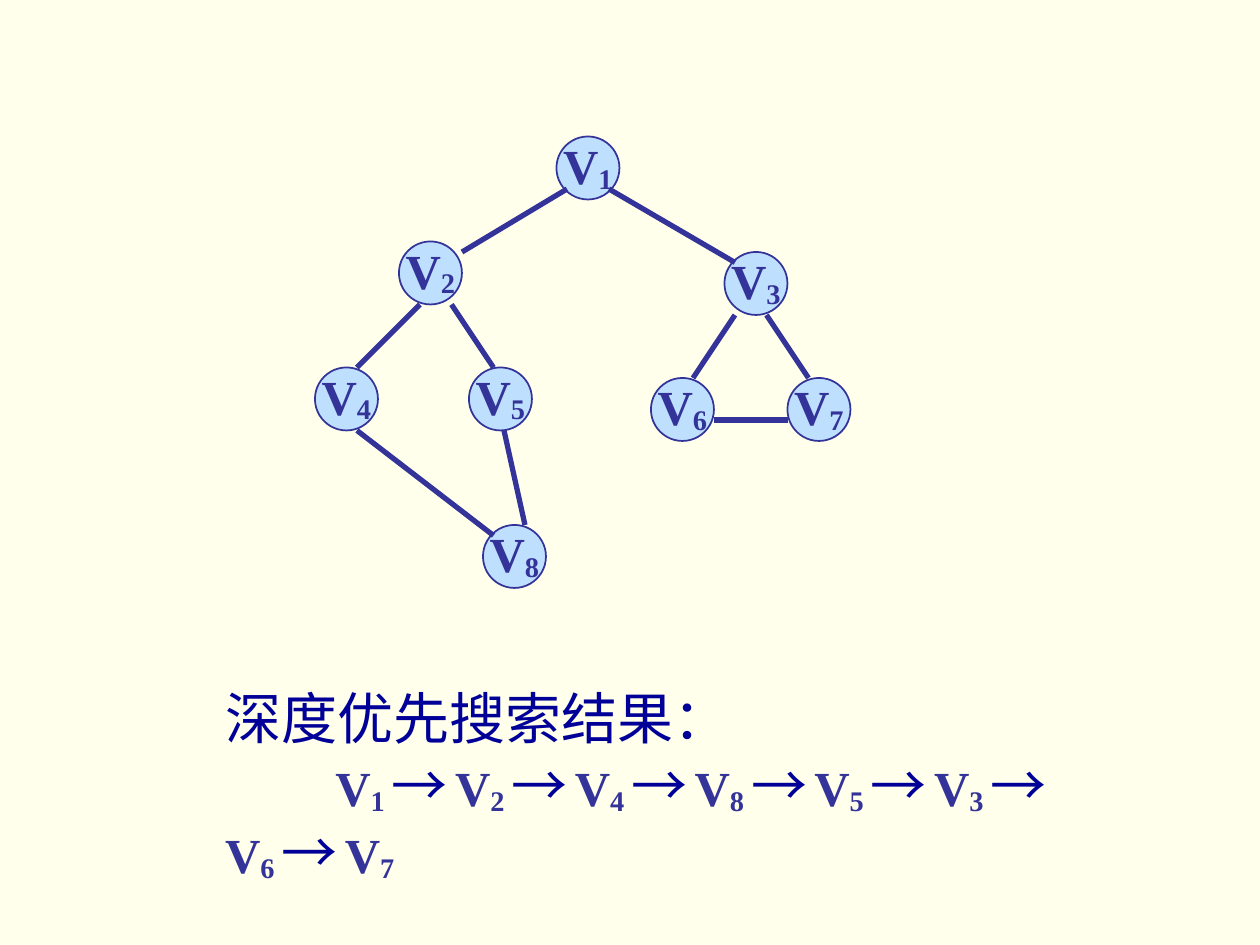
"""Draw a graph and the order of its depth-first search."""
from dataclasses import dataclass

import pptx
import pptx.dml.color
import pptx.enum.shapes
import pptx.enum.text
import pptx.oxml.ns
import pptx.slide
import pptx.text.text
import pptx.util
from lxml import etree

Pt = pptx.util.Pt
RGB = pptx.dml.color.RGBColor
PAPER = RGB(0xFF, 0xFF, 0xEB)
FILL = RGB(0xBE, 0xE0, 0xFE)
INK = RGB(0x33, 0x33, 0x99)
NAVY = RGB(0x00, 0x00, 0x99)
LATIN = "Times New Roman"
HAN = "Noto Sans CJK SC"
SIZE = 36


@dataclass
class Node:
    label: str
    left: float
    top: float


@dataclass
class Edge:
    x1: float
    y1: float
    x2: float
    y2: float


NODES = [
    Node("1", 318, 78),
    Node("2", 228, 138),
    Node("3", 414, 144),
    Node("4", 180, 210),
    Node("5", 268, 210),
    Node("6", 372, 216),
    Node("7", 450, 216),
    Node("8", 276, 300),
]
EDGES = [
    Edge(324, 108, 264, 144),
    Edge(348, 108, 420, 150),
    Edge(240, 174, 204, 210),
    Edge(258, 174, 282, 210),
    Edge(204, 246, 282, 306),
    Edge(288, 246, 300, 300),
    Edge(420, 180, 396, 216),
    Edge(438, 180, 462, 216),
    Edge(408, 240, 450, 240),
]
ORDER = "12485367"


def add_run(para: pptx.text.text._Paragraph, text: str, sub: bool = False) -> None:
    run = para.add_run()
    run.text = text
    run.font.size = Pt(28)
    run.font.bold = True
    run.font.name = LATIN
    run.font.color.rgb = INK
    if sub:
        run.font._element.set("baseline", "-10000")


def add_han(para: pptx.text.text._Paragraph, text: str) -> None:
    run = para.add_run()
    run.text = text
    run.font.size = Pt(32)
    run.font.bold = False
    run.font.name = HAN
    run.font.color.rgb = NAVY
    east = etree.SubElement(run.font._element, pptx.oxml.ns.qn("a:ea"))
    east.set("typeface", HAN)


def add_node(slide: pptx.slide.Slide, node: Node) -> None:
    shape = slide.shapes.add_shape(
        pptx.enum.shapes.MSO_SHAPE.OVAL,
        Pt(node.left), Pt(node.top), Pt(SIZE), Pt(SIZE),
    )
    shape.shadow.inherit = False
    shape.fill.solid()
    shape.fill.fore_color.rgb = FILL
    shape.line.color.rgb = INK
    shape.line.width = Pt(1)
    frame = shape.text_frame
    frame.word_wrap = False
    frame.margin_top = 0
    frame.vertical_anchor = pptx.enum.text.MSO_ANCHOR.MIDDLE
    para = frame.paragraphs[0]
    para.alignment = pptx.enum.text.PP_ALIGN.CENTER
    add_run(para, "V")
    add_run(para, node.label, sub=True)


def add_edge(slide: pptx.slide.Slide, edge: Edge) -> None:
    line = slide.shapes.add_connector(
        pptx.enum.shapes.MSO_CONNECTOR.STRAIGHT,
        Pt(edge.x1), Pt(edge.y1), Pt(edge.x2), Pt(edge.y2),
    )
    line.line.color.rgb = INK
    line.line.width = Pt(3)
    etree.SubElement(line._element.spPr, pptx.oxml.ns.qn("a:effectLst"))


def add_order(slide: pptx.slide.Slide) -> None:
    box = slide.shapes.add_textbox(Pt(121.5), Pt(387), Pt(495), Pt(122.4))
    frame = box.text_frame
    frame.word_wrap = True
    head = frame.paragraphs[0]
    add_han(head, "深度优先搜索结果：")
    para = frame.add_paragraph()
    para._element.get_or_add_pPr().set("indent", str(Pt(63)))
    for item in (head, para):
        item.line_spacing = Pt(38.4)
    for label in ORDER[:-1]:
        add_run(para, "V")
        add_run(para, label + " ", sub=True)
        add_han(para, "→")
        add_run(para, " ", sub=True)
    add_run(para, "V")
    add_run(para, ORDER[-1], sub=True)


def main() -> None:
    deck = pptx.Presentation()
    deck.slide_width = Pt(720)
    deck.slide_height = Pt(540)
    slide = deck.slides.add_slide(deck.slide_layouts[6])
    slide.background.fill.solid()
    slide.background.fill.fore_color.rgb = PAPER
    for node in NODES:
        add_node(slide, node)
    for edge in EDGES:
        add_edge(slide, edge)
    add_order(slide)
    deck.save("out.pptx")


if __name__ == "__main__":
    main()
